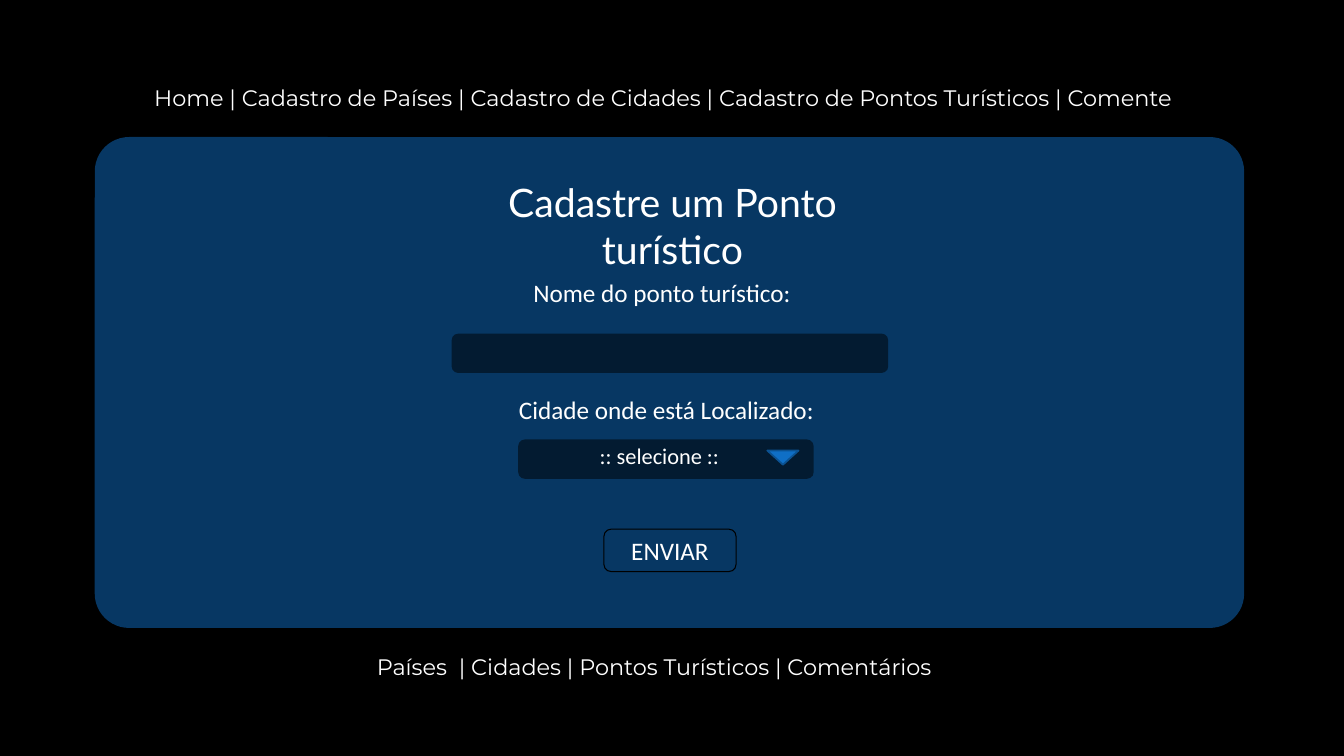
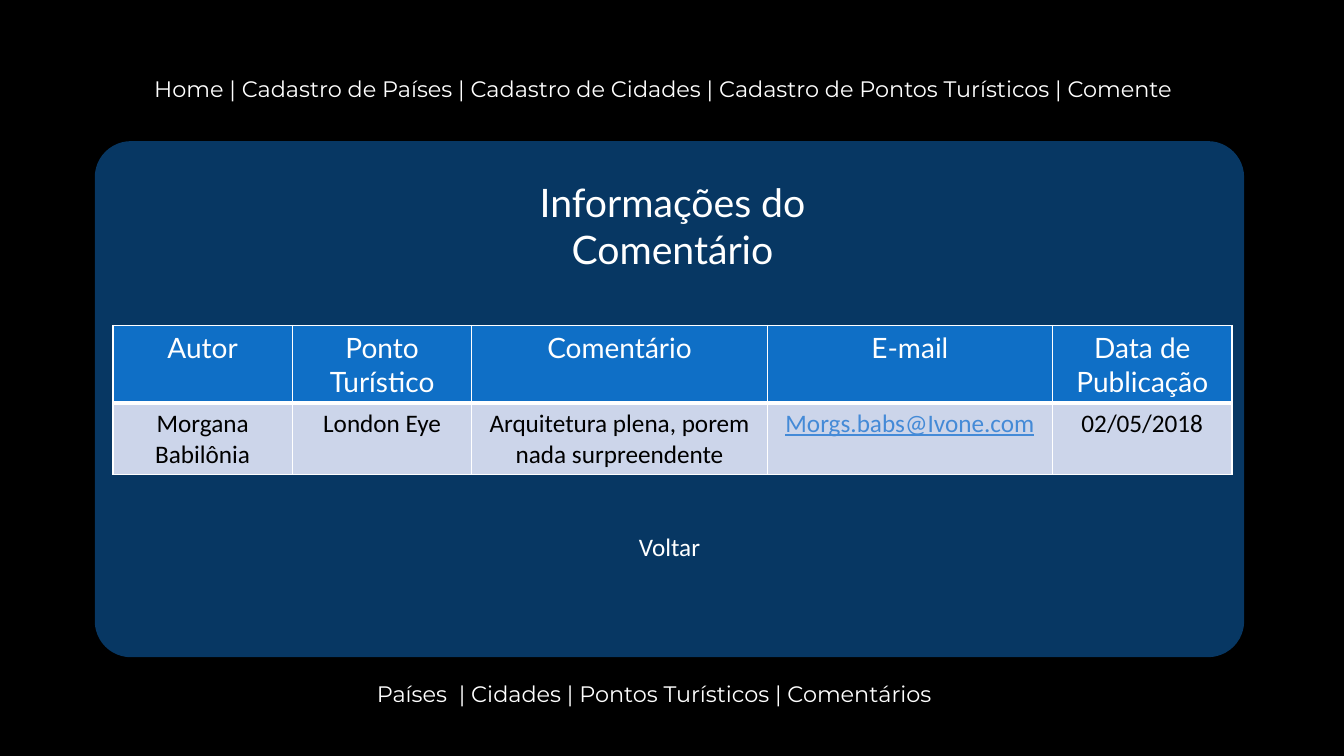
from lxml import etree
from pptx import Presentation
from pptx.dml.color import RGBColor
from pptx.enum.shapes import MSO_SHAPE
from pptx.enum.text import MSO_ANCHOR, MSO_AUTO_SIZE, PP_ALIGN
from pptx.oxml.ns import qn
from pptx.util import Inches, Pt

ROUNDED = MSO_SHAPE.ROUNDED_RECTANGLE
TRIANGLE = MSO_SHAPE.ISOSCELES_TRIANGLE
CENTER, LEFT = PP_ALIGN.CENTER, PP_ALIGN.LEFT
TITLE_ONLY = 5

COLORS = {
    "black": "000000", "white": "FFFFFF", "blue": "0F6FC6",
    "edge": "0B5292", "row": "CCD5EA", "link": "448AD7",
}

# Content
NAV = ("Home | Cadastro de Países | Cadastro de Cidades | "
       "Cadastro de Pontos Turísticos | Comente")
FOOTER = "Países  | Cidades | Pontos Turísticos | Comentários"

FORM = {"title": "Cadastre um Ponto turístico",
        "nav_top": 0.79, "card_top": 1.36, "card_height": 4.87, "footer_top": 6.43}
FORM_LABELS = [
    ("Nome do ponto turístico:", (4.94, 2.7, 3.25, 0.4)),
    ("Cidade onde está Localizado:", (4.58, 3.86, 4.06, 0.4)),
]
FORM_FIELDS = [(4.48, 3.31, 4.33, 0.39), (5.14, 4.36, 2.93, 0.39)]

INFO = {"title": "Informações do Comentário",
        "nav_top": 0.7, "card_top": 1.4, "card_height": 5.12, "footer_top": 6.7}
COMMENTS = [
    ["Autor", "Ponto Turístico", "Comentário", "E-mail", "Data de Publicação"],
    ["Morgana Babilônia", "London Eye", "Arquitetura plena, porem nada surpreendente",
     "Morgs.babs@Ivone.com", "02/05/2018"],
]
EMAIL_COL = 3
COL_WIDTHS = [1.78, 1.78, 2.93, 2.83, 1.78]
ROW_HEIGHTS = [0.77, 0.7]


def rgb(name):
    return RGBColor.from_string(COLORS[name])


def box(*lengths):
    return [Inches(v) for v in lengths]


def write(tf, text, size, font="Calibri", color="white", align=CENTER):
    p = tf.paragraphs[0]
    p.alignment = align
    p.line_spacing = 1.0
    r = p.add_run()
    r.text = text
    r.font.size, r.font.name, r.font.bold = Pt(size), font, False
    r.font.color.rgb = rgb(color)
    return r


def add_text(slide, at, text, size, **style):
    tf = slide.shapes.add_textbox(*box(*at)).text_frame
    tf.word_wrap = True
    write(tf, text, size, **style)


def add_shape(slide, kind, at, fill=None, alpha=None, line=None, width=0.75):
    sp = slide.shapes.add_shape(kind, *box(*at))
    sp.shadow.inherit = False
    if fill:
        sp.fill.solid()
        sp.fill.fore_color.rgb = rgb(fill)
    else:
        sp.fill.background()
    if alpha:
        clr = sp._element.spPr.find(".//" + qn("a:srgbClr"))
        etree.SubElement(clr, qn("a:alpha")).set("val", str(alpha * 1000))
    if line:
        sp.line.color.rgb = rgb(line)
        sp.line.width = Pt(width)
    else:
        sp.line.fill.background()
    return sp


def add_page(prs, page):
    """Slide with the navigation, card, title and footer shared by all pages."""
    slide = prs.slides.add_slide(prs.slide_layouts[TITLE_ONLY])
    add_text(slide, (0.48, page["nav_top"], 12.2, 0.37), NAV, 16, font="Montserrat")
    add_text(slide, (3.07, page["footer_top"], 6.84, 0.37), FOOTER, 16, font="Montserrat")
    card = add_shape(slide, ROUNDED, (0.94, page["card_top"], 11.4, page["card_height"]),
                     "blue", 50)
    card.adjustments[0] = 0.07

    title = slide.shapes.title
    title.left, title.top, title.width, title.height = box(4.5, 1.72, 4.34, 1.03)
    tf = title.text_frame
    tf.word_wrap, tf.auto_size = True, MSO_AUTO_SIZE.NONE
    tf.vertical_anchor = MSO_ANCHOR.TOP
    write(tf, page["title"], 28, font="Lato")
    # Bring the title in front of the translucent card
    slide.shapes._spTree.append(title._element)
    return slide


def set_borders(cell, bottom=1, top=1):
    tcPr = cell._tc.get_or_add_tcPr()
    widths = {"a:lnL": 1, "a:lnR": 1, "a:lnT": top, "a:lnB": bottom}
    for i, (tag, width) in enumerate(widths.items()):
        ln = etree.Element(qn(tag), w=str(Pt(width)))
        fill = etree.SubElement(ln, qn("a:solidFill"))
        etree.SubElement(fill, qn("a:srgbClr")).set("val", COLORS["white"])
        tcPr.insert(i, ln)


def add_comments_table(slide):
    frame = slide.shapes.add_table(len(COMMENTS), len(COL_WIDTHS),
                                   *box(1.12, 3.23, sum(COL_WIDTHS), sum(ROW_HEIGHTS)))
    table = frame.table
    table.horz_banding = False
    for col, width in zip(table.columns, COL_WIDTHS):
        col.width = Inches(width)
    for i, (values, height) in enumerate(zip(COMMENTS, ROW_HEIGHTS)):
        header = i == 0
        table.rows[i].height = Inches(height)
        for j, value in enumerate(values):
            cell = table.cell(i, j)
            cell.fill.solid()
            cell.fill.fore_color.rgb = rgb("blue" if header else "row")
            set_borders(cell, bottom=3 if header else 1, top=1 if header else 3)
            if header:
                write(cell.text_frame, value, 20, font="Lato")
            elif j == EMAIL_COL:
                write(cell.text_frame, value, 18, color="link").font.underline = True
            else:
                write(cell.text_frame, value, 18, color="black")


def build_form(prs):
    slide = add_page(prs, FORM)
    for at in FORM_FIELDS:
        add_shape(slide, ROUNDED, at, "black", 50)
    for text, at in FORM_LABELS:
        add_text(slide, at, text, 18)
    # Drop-down
    add_text(slide, (5.85, 4.34, 1.43, 0.37), ":: selecione ::", 16, align=LEFT)
    arrow = add_shape(slide, TRIANGLE, (7.61, 4.47, 0.31, 0.14), "blue",
                      line="edge", width=1.25)
    arrow.rotation = 180
    # Button
    button = add_shape(slide, ROUNDED, (5.99, 5.25, 1.31, 0.42), line="black")
    write(button.text_frame, "ENVIAR", 18)


def build_info(prs):
    slide = add_page(prs, INFO)
    add_comments_table(slide)
    add_text(slide, (5.99, 5.22, 1.3, 0.4), "Voltar", 18)


def main():
    prs = Presentation()
    prs.slide_width, prs.slide_height = box(13.33, 7.5)
    background = prs.slide_master.background.fill
    background.solid()
    background.fore_color.rgb = rgb("black")
    build_form(prs)
    build_info(prs)
    prs.save("out.pptx")


if __name__ == "__main__":
    main()
